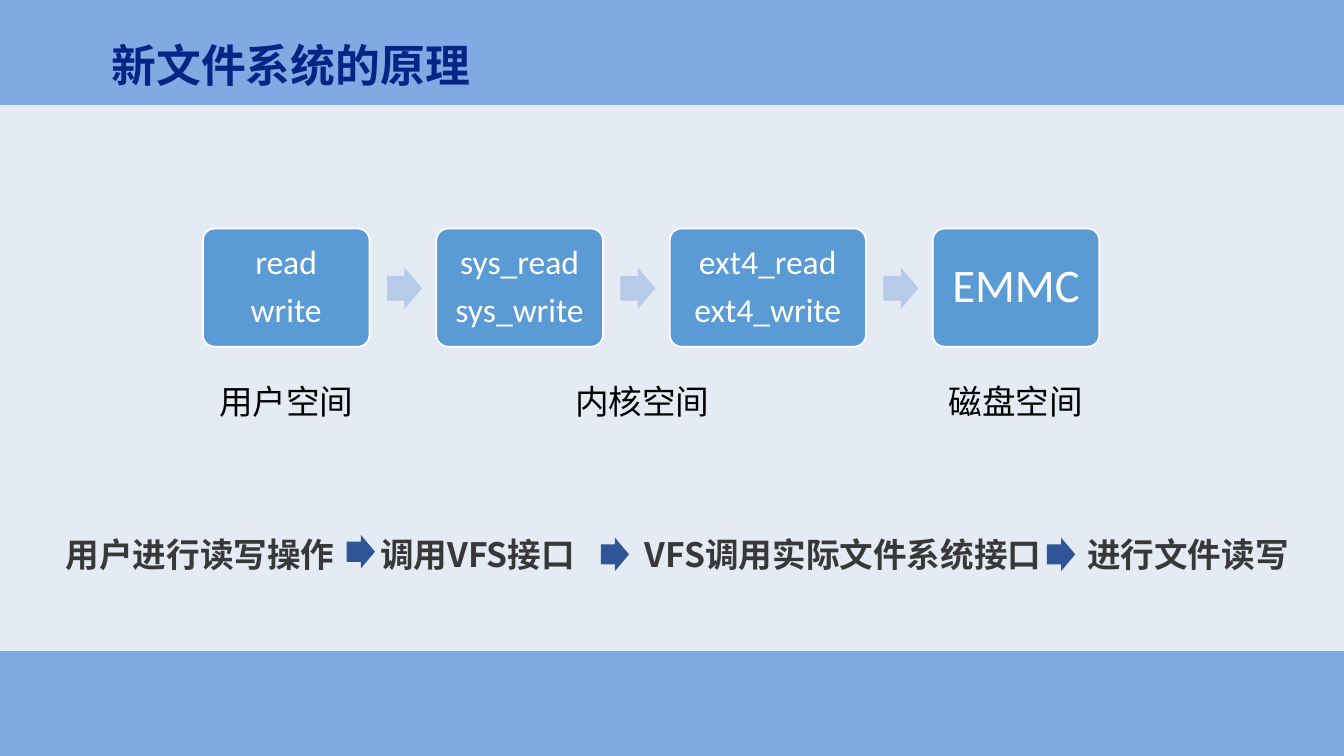
from lxml.etree import SubElement
from pptx import Presentation
from pptx.dml.color import RGBColor
from pptx.enum.shapes import MSO_SHAPE as Shape
from pptx.enum.text import MSO_ANCHOR as Anchor, MSO_AUTO_SIZE as AutoSize, PP_ALIGN as Align
from pptx.oxml.ns import qn
from pptx.util import Inches, Pt

SLIDE_WIDTH = 10
SLIDE_HEIGHT = SLIDE_WIDTH * 9 / 16
BAND_HEIGHT = 0.78
CJK_FONT = "Noto Sans CJK SC"


def paint(target, color):
    """Give a fill or a font a solid colour from a hex string."""
    if hasattr(target, "solid"):
        target.solid()
        target.fore_color.rgb = RGBColor.from_string(color)
    else:
        target.color.rgb = RGBColor.from_string(color)


def style_text(frame, size, color, font="Calibri", bold=False, align=Align.LEFT):
    """Format every run of a text frame."""
    for paragraph in frame.paragraphs:
        paragraph.alignment = align
        for run in paragraph.runs:
            run.font.size = Pt(size)
            run.font.name = font
            run.font.bold = bold
            paint(run.font, color)
            SubElement(run.font._element, qn("a:ea"), typeface=CJK_FONT)


def add_block(slide, kind, box, color):
    """Add a borderless, flat shape in the given box."""
    block = slide.shapes.add_shape(kind, *map(Inches, box))
    block.shadow.inherit = False
    paint(block.fill, color)
    block.line.fill.background()
    return block


def add_arrow(slide, box, color):
    """Add a right arrow with a thick shaft."""
    arrow = add_block(slide, Shape.RIGHT_ARROW, box, color)
    arrow.adjustments[0] = 0.6
    arrow.adjustments[1] = 0.5


def add_text(slide, box, text):
    """Add a wrapping text box and return its frame."""
    frame = slide.shapes.add_textbox(*map(Inches, box)).text_frame
    frame.word_wrap = True
    frame.text = text
    return frame


def add_header(slide, box, text):
    """Place the title over a coloured band."""
    left, top, width, height = box
    title = slide.shapes.title
    band = add_block(slide, Shape.RECTANGLE, box, "81AAE2")
    title._element.addprevious(band._element)
    title.left, title.top = Inches(left + 0.73), Inches(top + 0.18)
    title.width, title.height = Inches(width - 1.46), Inches(height - 0.18)
    frame = title.text_frame
    frame.text = text
    frame.auto_size = AutoSize.NONE
    frame.vertical_anchor = Anchor.MIDDLE
    style_text(frame, 24, "062486", "Arial", True)


def add_call_chain(slide, box, stages):
    """Lay out the stage boxes from left to right with arrows between them."""
    left, top, width, height = box
    gap = (width - sum(stage[1] for stage in stages)) / (len(stages) - 1)
    for index, (calls, stage_width, size, inset) in enumerate(stages):
        if index:
            add_arrow(slide, (left - gap + 0.13, top + 0.29, 0.26, 0.31), "B5CBE7")
        stage = add_block(slide, Shape.ROUNDED_RECTANGLE, (left, top, stage_width, height), "5B9BD5")
        stage.adjustments[0] = 0.1
        paint(stage.line.fill, "FFFFFF")
        stage.line.width = Pt(1)
        frame = stage.text_frame
        frame.text = calls
        frame.vertical_anchor = Anchor.MIDDLE
        frame.margin_left = frame.margin_right = Inches(inset)
        frame.margin_top = frame.margin_bottom = Inches(inset)
        style_text(frame, size, "FFFFFF", align=Align.CENTER)
        for paragraph in frame.paragraphs:
            paragraph.line_spacing = 0.9
        for paragraph in frame.paragraphs[1:]:
            paragraph.space_before = Pt(6)
        left += stage_width + gap


def add_space_labels(slide, box, labels):
    """Centre each label at its offset within the box."""
    left, top, _, height = box
    width = 1.5
    for offset, text in labels:
        frame = add_text(slide, (left + offset - width / 2, top, width, height), text)
        frame.paragraphs[0].line_spacing = 0.9
        style_text(frame, 18, "000000", align=Align.CENTER)


def add_steps(slide, box, steps, arrows):
    """Write the steps on one line at tab stops, with arrows between them."""
    left, top, _, _ = box
    frame = add_text(slide, box, "\t".join(text for _, text in steps))
    properties = frame.paragraphs[0]._p.get_or_add_pPr()
    stops = SubElement(properties, qn("a:tabLst"))
    for offset, _ in steps[1:]:
        SubElement(stops, qn("a:tab"), pos=str(Inches(offset)), algn="l")
    style_text(frame, 18, "383838", CJK_FONT, True)
    for offset, drop in arrows:
        add_arrow(slide, (left + offset, top + drop, 0.21, 0.25), "2F5597")


def main():
    """Build the slide and save it."""
    deck = Presentation()
    deck.slide_width, deck.slide_height = Inches(SLIDE_WIDTH), Inches(SLIDE_HEIGHT)
    slide = deck.slides.add_slide(deck.slide_layouts[5])
    paint(slide.background.fill, "E5EBF5")
    add_header(slide, (0, 0, SLIDE_WIDTH, BAND_HEIGHT), "新文件系统的原理")
    footer = (0, SLIDE_HEIGHT - BAND_HEIGHT, SLIDE_WIDTH, BAND_HEIGHT)
    add_block(slide, Shape.RECTANGLE, footer, "81AAE2")
    add_call_chain(slide, (1.51, 1.7, 6.67, 0.88), [
        ("read\nwrite", 1.24, 18, 0.07),
        ("sys_read\nsys_write", 1.24, 18, 0.07),
        ("ext4_read\next4_write", 1.46, 18, 0.07),
        ("EMMC", 1.24, 25, 0.1),
    ])
    add_space_labels(slide, (1.51, 2.82, 6.67, 0.7), [
        (0.62, "用户空间"), (3.27, "内核空间"), (6.05, "磁盘空间"),
    ])
    add_steps(slide, (0.39, 3.92, 9.82, 0.7), [
        (0, "用户进行读写操作"),
        (2.34, "调用VFS接口"),
        (4.31, "VFS调用实际文件系统接口"),
        (7.6, "进行文件读写"),
    ], [(2.19, 0.06), (4.08, 0.08), (7.4, 0.08)])
    deck.save("out.pptx")


if __name__ == "__main__":
    main()
